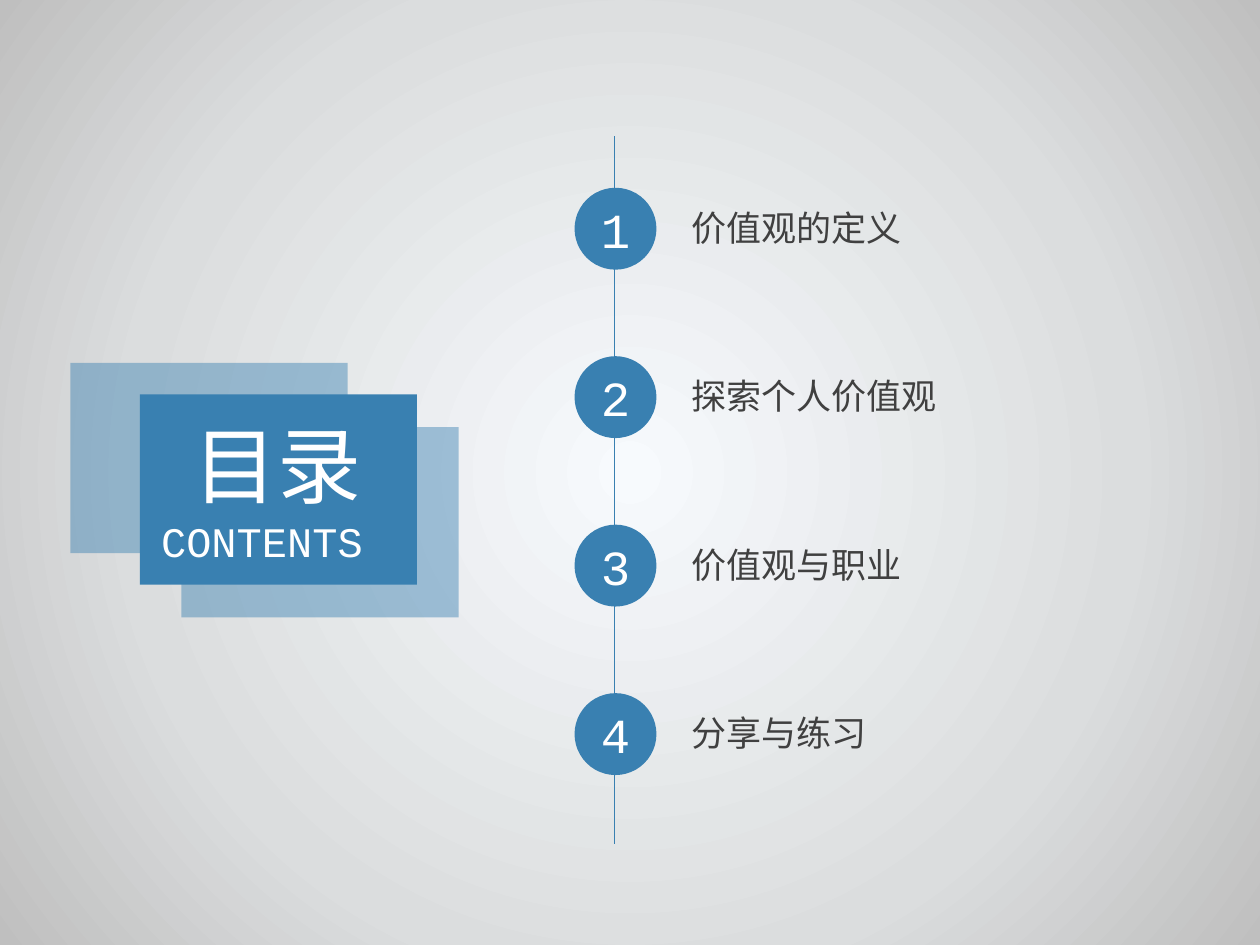
"""Build a contents slide with a layered title block and a numbered timeline."""
from lxml.etree import SubElement
from pptx import Presentation
from pptx.dml.color import RGBColor
from pptx.enum.shapes import MSO_CONNECTOR as LINK, MSO_SHAPE as SHAPE
from pptx.enum.text import MSO_ANCHOR as ANCHOR, MSO_AUTO_SIZE as FIT, PP_ALIGN as ALIGN
from pptx.oxml import parse_xml
from pptx.oxml.ns import nsdecls, qn
from pptx.util import Inches, Pt

BLUE = RGBColor(0x39, 0x80, 0xB1)
WHITE = RGBColor(0xFF, 0xFF, 0xFF)
GREY = RGBColor(0x40, 0x40, 0x40)
GLOW = {0: RGBColor(0xF7, 0xFA, 0xFD), 64: RGBColor(0xDB, 0xDD, 0xDE), 100: RGBColor(0xBF, 0xBF, 0xBF)}
CJK, MONO = "Noto Sans CJK SC", "Courier New"
TOPICS = ["价值观的定义", "探索个人价值观", "价值观与职业", "分享与练习"]
TOPIC_WIDTHS = [1.88, 2.17, 1.88, 1.6]
STEP = 1.337


def write(box, text, size, font, colour, **frame_format):
    for name, value in frame_format.items():
        setattr(box.text_frame, name, value)
    span = box.text_frame.paragraphs[0].add_run()
    span.text = text
    for name, value in {"size": Pt(size), "name": font}.items():
        setattr(span.font, name, value)
    span.font.color.rgb = colour
    SubElement(span.font._element, qn("a:ea")).set("typeface", font)


def add_solid(shapes, kind, left, top, width, height):
    shape = shapes.add_shape(kind, Inches(left), Inches(top), Inches(width), Inches(height))
    shape.shadow.inherit = False
    shape.fill.solid()
    shape.fill.fore_color.rgb = BLUE
    shape.line.fill.background()
    return shape


deck = Presentation()
deck.slide_width, deck.slide_height = Inches(10), Inches(7.5)
page = deck.slides.add_slide(deck.slide_layouts[6])

page.background.fill.gradient()
gradient = page.element.find(".//" + qn("a:gradFill"))
stops = "".join(
    f'<a:gs pos="{place * 1000}"><a:srgbClr val="{colour}"/></a:gs>' for place, colour in GLOW.items()
)
gradient.getparent().replace(gradient, parse_xml(
    f'<a:gradFill {nsdecls("a")} rotWithShape="1"><a:gsLst>{stops}</a:gsLst>'
    '<a:path path="circle"><a:fillToRect l="50000" t="50000" r="50000" b="50000"/></a:path></a:gradFill>'
))

label_format = {"word_wrap": False, "auto_size": FIT.SHAPE_TO_FIT_TEXT}
title = page.shapes.add_group_shape().shapes
for left, top, opacity in [(0.56, 2.88, 45), (1.44, 3.39, 45), (1.11, 3.13, 100)]:
    panel = add_solid(title, SHAPE.RECTANGLE, left, top, 2.2, 1.51)
    if opacity < 100:
        tint = panel.element.spPr.find(".//" + qn("a:srgbClr"))
        SubElement(tint, qn("a:alpha")).set("val", str(opacity * 1000))
for text, left, top, width, height, size, font in [
    ("目录", 1.44, 3.23, 1.55, 0.91, 48, CJK),
    ("CONTENTS", 1.18, 4.04, 2.05, 0.5, 24, MONO),
]:
    box = title.add_textbox(Inches(left), Inches(top), Inches(width), Inches(height))
    write(box, text, size, font, WHITE, **label_format)

timeline = page.shapes.add_group_shape().shapes
axis = timeline.add_connector(LINK.STRAIGHT, Inches(4.88), Inches(1.08), Inches(4.88), Inches(6.7))
axis.line.color.rgb = BLUE
axis.line.width = Pt(0.5)
SubElement(axis.element.spPr, qn("a:effectLst"))
for index, (topic, width) in enumerate(zip(TOPICS, TOPIC_WIDTHS)):
    badge = add_solid(timeline, SHAPE.OVAL, 4.56, 1.49 + index * STEP, 0.65, 0.65)
    write(badge, str(index + 1), 28, MONO, WHITE, vertical_anchor=ANCHOR.MIDDLE)
    badge.text_frame.paragraphs[0].alignment = ALIGN.CENTER
    box = page.shapes.add_textbox(Inches(5.39), Inches(1.59 + index * STEP), Inches(width), Inches(0.44))
    write(box, topic, 20, CJK, GREY, **label_format)

deck.save("out.pptx")
